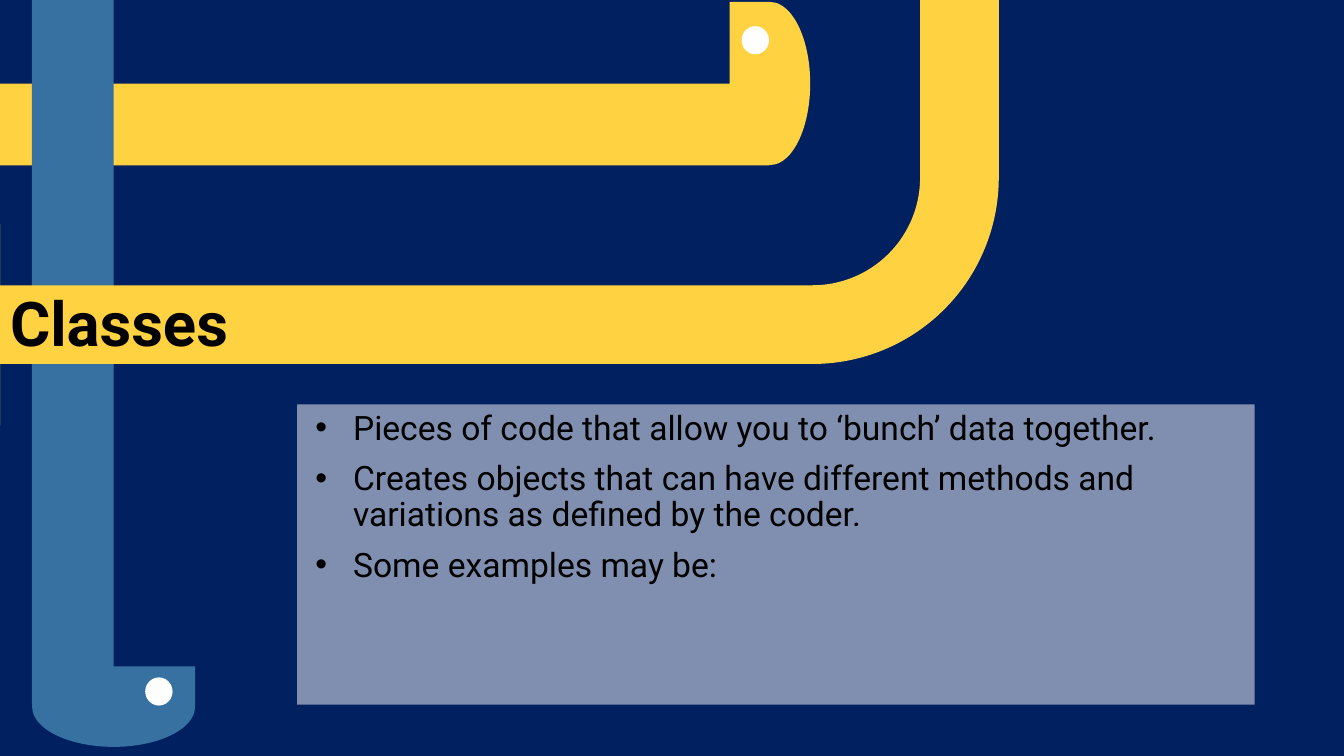
"""Build the Classes slide with its two snakes."""
from dataclasses import dataclass

import pptx
import pptx.dml.color
import pptx.enum.shapes
import pptx.enum.text
import pptx.oxml.ns
import pptx.slide
import pptx.text.text
import pptx.util
from lxml import etree

Cm = pptx.util.Cm
Pt = pptx.util.Pt
RGB = pptx.dml.color.RGBColor
Kind = pptx.enum.shapes.MSO_SHAPE
qn = pptx.oxml.ns.qn

NAVY = RGB(0x00, 0x20, 0x60)
GOLD = RGB(0xFF, 0xD2, 0x42)
BLUE = RGB(0x37, 0x71, 0xA1)
WHITE = RGB(0xFF, 0xFF, 0xFF)
BLACK = RGB(0x00, 0x00, 0x00)
FONT = "Roboto"


@dataclass(frozen=True)
class Part:
    """A filled shape, with its box in centimetres."""
    kind: Kind
    box: tuple[float, float, float, float]
    fill: RGB
    turn: int = 0
    flip: bool = False
    adjust: tuple[float, ...] = ()
    alpha: int = 100


BACK = (
    Part(Kind.RECTANGLE, (0, 2.11, 19.38, 2.06), GOLD),
    Part(Kind.RECTANGLE, (-7.04, 7.85, 17.75, 2.06), BLUE, turn=90),
    Part(Kind.BENT_ARROW, (0, 0, 25.17, 10.72), GOLD, turn=180,
         adjust=(0.185, 0.237, 0, 0.438)),
    Part(Kind.RECTANGLE, (7.49, 10.19, 24.13, 7.57), WHITE, alpha=50),
)
HEADS = (
    Part(Kind.TEAR, (18.39, 0.05, 2.03, 4.11), GOLD, flip=True),
    Part(Kind.FLOWCHART_CONNECTOR, (18.69, 0.66, 0.69, 0.71), WHITE),
    Part(Kind.TEAR, (1.85, 15.75, 2.03, 4.11), BLUE, turn=90, flip=True),
    Part(Kind.FLOWCHART_CONNECTOR, (3.66, 17.07, 0.69, 0.71), WHITE),
)
POINTS = (
    "Pieces of code that allow you to ‘bunch’ data together.",
    "Creates objects that can have different methods and variations as defined by the coder.",
    "Some examples may be:",
)


def draw(slide: pptx.slide.Slide, part: Part) -> None:
    """Draw one part of the scene."""
    shape = slide.shapes.add_shape(part.kind, *map(Cm, part.box))
    shape.shadow.inherit = False
    shape.fill.solid()
    shape.fill.fore_color.rgb = part.fill
    shape.line.fill.background()
    shape.rotation = part.turn
    for index, value in enumerate(part.adjust):
        shape.adjustments[index] = value
    if part.flip:
        shape.element.spPr.find(qn("a:xfrm")).set("flipH", "1")
    if part.alpha < 100:
        tint = shape.element.spPr.find(qn("a:solidFill"))[0]
        etree.SubElement(tint, qn("a:alpha"), val=str(part.alpha * 1000))


def style(para: pptx.text.text._Paragraph, size: int, bold: bool = False) -> None:
    """Format a paragraph and its runs."""
    para.alignment = pptx.enum.text.PP_ALIGN.LEFT
    para.line_spacing = 0.9
    for run in para.runs:
        run.font.name = FONT
        run.font.size = Pt(size)
        run.font.bold = bold
        run.font.color.rgb = BLACK


def head(slide: pptx.slide.Slide) -> None:
    """Place the title above the shapes drawn so far."""
    title = slide.shapes.title
    title.left, title.top, title.width, title.height = map(Cm, (0, 4.29, 21.11, 4.9))
    frame = title.text_frame
    frame.text = "Classes"
    frame.auto_size = pptx.enum.text.MSO_AUTO_SIZE.NONE
    frame.vertical_anchor = pptx.enum.text.MSO_ANCHOR.BOTTOM
    style(frame.paragraphs[0], 44, bold=True)
    slide.shapes.element.append(title.element)


def body(slide: pptx.slide.Slide) -> None:
    """Write the bulleted points."""
    frame = slide.shapes.add_textbox(*map(Cm, (7.7, 10.24, 23.7, 7.57))).text_frame
    frame.word_wrap = True
    frame.text = "\n".join(POINTS)
    for para in frame.paragraphs:
        style(para, 24)
        para.space_before = Pt(10)
        props = para._p.get_or_add_pPr()
        props.set("marL", str(Cm(0.95)))
        props.set("indent", str(-Cm(0.95)))
        etree.SubElement(props, qn("a:buFont"), typeface="Arial")
        etree.SubElement(props, qn("a:buChar"), char="•")


def main() -> None:
    """Build and save the deck."""
    deck = pptx.Presentation()
    deck.slide_width, deck.slide_height = Cm(33.87), Cm(19.05)
    slide = deck.slides.add_slide(deck.slide_layouts[5])
    slide.background.fill.solid()
    slide.background.fill.fore_color.rgb = NAVY
    for part in BACK:
        draw(slide, part)
    head(slide)
    body(slide)
    for part in HEADS:
        draw(slide, part)
    deck.save("out.pptx")


if __name__ == "__main__":
    main()
